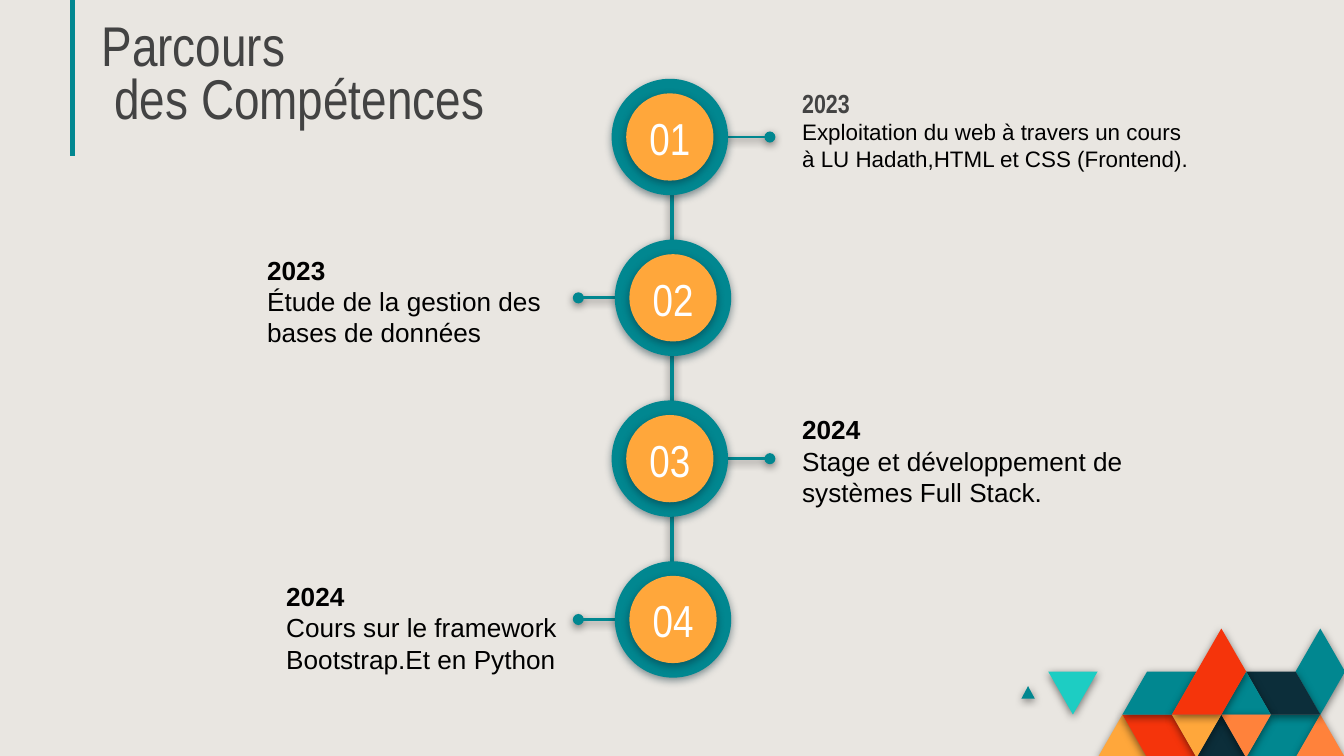
from lxml.etree import SubElement
from pptx import Presentation
from pptx.dml.color import RGBColor
from pptx.enum.shapes import MSO_CONNECTOR as CONN, MSO_SHAPE as SHAPE
from pptx.enum.text import MSO_ANCHOR as ANCHOR, MSO_AUTO_SIZE as AUTO, PP_ALIGN as ALIGN
from pptx.oxml.ns import qn
from pptx.util import Cm, Pt

COLORS = {
    "sand": "E9E6E1", "teal": "018790", "amber": "FFA73B", "red": "F5340B",
    "orange": "FF823B", "navy": "0C2E3A", "aqua": "1DCDC3",
    "gray": "434343", "black": "000000", "white": "FFFFFF",
}
NARROW = "Arial Narrow"
TILES = [
    ("amber", [(2, 3), (3, 2), (4, 3)]),
    ("red", [(3, 2), (5, 2), (6, 3), (4, 3)]),
    ("teal", [(8, 3), (9, 2), (11, 2), (10, 3)]),
    ("orange", [(10, 3), (11, 2), (12, 3)]),
    ("navy", [(6, 3), (7, 2), (8, 3)]),
    ("teal", [(3, 2), (4, 1), (6, 1), (5, 2)]),
    ("teal", [(-1.08, 1.63), (-0.81, 1.34), (-0.54, 1.63)]),
    ("aqua", [(0, 1), (2, 1), (1, 2)]),
    ("teal", [(10, 1), (11, 0), (12, 1), (11, 2)]),
    ("navy", [(8, 1), (10, 1), (11, 2), (9, 2)]),
    ("teal", [(7, 2), (8, 1), (9, 2)]),
    ("orange", [(7, 2), (9, 2), (8, 3)]),
    ("amber", [(5, 2), (7, 2), (6, 3)]),
    ("red", [(5, 2), (7, 0), (8, 1), (7, 2)]),
]
STEPS = [
    ("2023", "Exploitation du web à travers un cours à LU Hadath,HTML et CSS (Frontend).",
     (14.91, 1.4, 8, 3.02), (NARROW, "gray", 12)),
    ("2023", "Étude de la gestion des bases de données",
     (4.8, 4.55, 6.88, 1.47), ("Arial", "black", 14)),
    ("2024", "Stage et développement de systèmes Full Stack.",
     (14.91, 7.57, 6.88, 1.47), ("Arial", "black", 14)),
    ("2024", "Cours sur le framework Bootstrap.Et en Python",
     (5.16, 10.72, 6.63, 2.49), ("Arial", "black", 14)),
]


def rgb(name):
    """Return the palette colour of that name."""
    return RGBColor.from_string(COLORS[name])


def add_effects(sp, shadow=None):
    """Replace the theme shadow by a soft drop shadow, or by none."""
    effects = SubElement(sp._element.spPr, qn("a:effectLst"))
    if shadow:
        outer = SubElement(effects, qn("a:outerShdw"), blurRad=str(Pt(4.5)),
                           dist=str(Pt(1.5)), dir="5400000", algn="bl", rotWithShape="0")
        color = SubElement(outer, qn("a:srgbClr"), val=COLORS[shadow])
        SubElement(color, qn("a:alpha"), val="50000")


def paint(sp, color, shadow):
    """Give a shape a plain fill, no outline and a shadow."""
    sp.fill.solid()
    sp.fill.fore_color.rgb = rgb(color)
    sp.line.fill.background()
    add_effects(sp, shadow)


def add_line(slide, x1, y1, x2, y2, width, shadow=None, dot=False):
    """Draw a teal line, with a dot at its end if asked."""
    line = slide.shapes.add_connector(CONN.STRAIGHT, Cm(x1), Cm(y1), Cm(x2), Cm(y2))
    line.line.color.rgb = rgb("teal")
    line.line.width = Pt(width)
    if dot:
        SubElement(line._element.spPr.find(qn("a:ln")), qn("a:tailEnd"), type="oval")
    add_effects(line, shadow)


def set_frame(tf, anchor):
    """Wrap a text frame, with equal insets and a fixed size."""
    tf.word_wrap, tf.auto_size, tf.vertical_anchor = True, AUTO.NONE, anchor
    tf.margin_left = tf.margin_right = tf.margin_top = tf.margin_bottom = Cm(0.25)


def set_font(p, name, size, color, bold=False):
    """Set the font of a paragraph."""
    p.font.name, p.font.size, p.font.bold = name, Pt(size), bold
    p.font.color.rgb = rgb(color)


def add_box(slide, x, y, w, h, lines, anchor=ANCHOR.TOP):
    """Add a text box and return its paragraphs."""
    tf = slide.shapes.add_textbox(Cm(x), Cm(y), Cm(w), Cm(h)).text_frame
    set_frame(tf, anchor)
    tf.text = "\n".join(lines)
    return tf.paragraphs


def add_heading(slide, x, y, w, h):
    """Place the title and the rule on its left."""
    title = slide.shapes.title
    title.left, title.top, title.width, title.height = Cm(x), Cm(y), Cm(w), Cm(h)
    tf = title.text_frame
    set_frame(tf, ANCHOR.BOTTOM)
    tf.text = "Parcours\v des Compétences"
    p = tf.paragraphs[0]
    p.alignment, p.line_spacing = ALIGN.LEFT, 0.8
    set_font(p, NARROW, 30, "gray")
    add_line(slide, x - 0.3, y - 1.32, x - 0.3, y + 1.81, 2.25)


def add_mosaic(slide, x, y, w, h):
    """Lay the tiles on a grid of 12 columns and 3 rows."""
    for color, cells in TILES:
        points = [(Cm(x + w * col / 12), Cm(y + h * row / 3)) for col, row in cells]
        builder = slide.shapes.build_freeform(*points[0])
        builder.add_line_segments(points[1:], close=True)
        paint(builder.convert_to_shape(), color, "black")


def add_marker(slide, x, y, size, label, side):
    """Draw a numbered disc in a square box, with a pin on one side."""
    cx, cy = x + size / 2, y + size / 2
    reach = 1.89 if side > 0 else 1.79
    add_line(slide, cx + side * 0.83, cy, cx + side * reach, cy, 1.5, "black", dot=True)
    for color, d in (("teal", size), ("amber", size * 0.75)):
        disc = slide.shapes.add_shape(SHAPE.OVAL, Cm(cx - d / 2), Cm(cy - d / 2), Cm(d), Cm(d))
        paint(disc, color, "navy")
    p = add_box(slide, cx - 0.99, cy - 0.61, 1.98, 1.24, [label], ANCHOR.MIDDLE)[0]
    p.alignment = ALIGN.CENTER
    set_font(p, NARROW, 24, "white")


def add_timeline(slide, x, y, size, pitch):
    """Draw the spine, its markers and the text of each step."""
    add_line(slide, 12.7, y + size / 2, 12.7, y + size / 2 + 3 * pitch, 2.25, "black")
    for i, (year, text, box, (font, color, points)) in enumerate(STEPS):
        side = -1 if i % 2 else 1
        add_marker(slide, x - side * 0.03, y + i * pitch, size, f"{i + 1:02}", side)
        head, body = add_box(slide, *box, [year, text])
        set_font(head, font, 14, color, bold=True)
        set_font(body, "Arial", points, "black")


def main():
    """Build the slide and save it."""
    prs = Presentation()
    prs.slide_width, prs.slide_height = Cm(25.4), Cm(14.29)
    slide = prs.slides.add_slide(prs.slide_layouts[5])
    slide.background.fill.solid()
    slide.background.fill.fore_color.rgb = rgb("sand")
    add_heading(slide, 1.67, 1.14, 12.14, 1.58)
    add_mosaic(slide, 19.81, 11.88, 5.61, 2.44)
    add_timeline(slide, 11.59, 1.49, 2.2, 3.04)
    prs.save("out.pptx")


if __name__ == "__main__":
    main()
